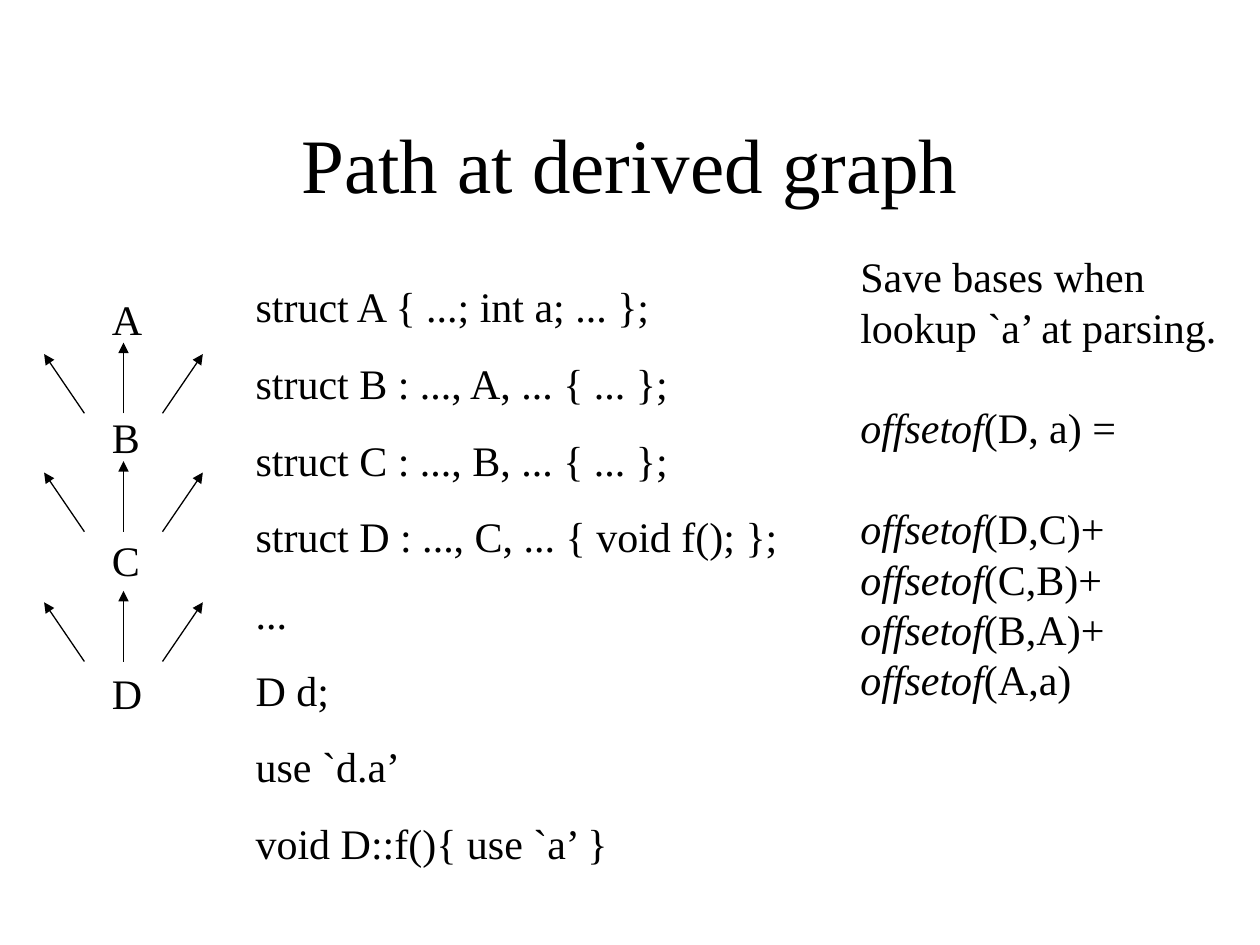
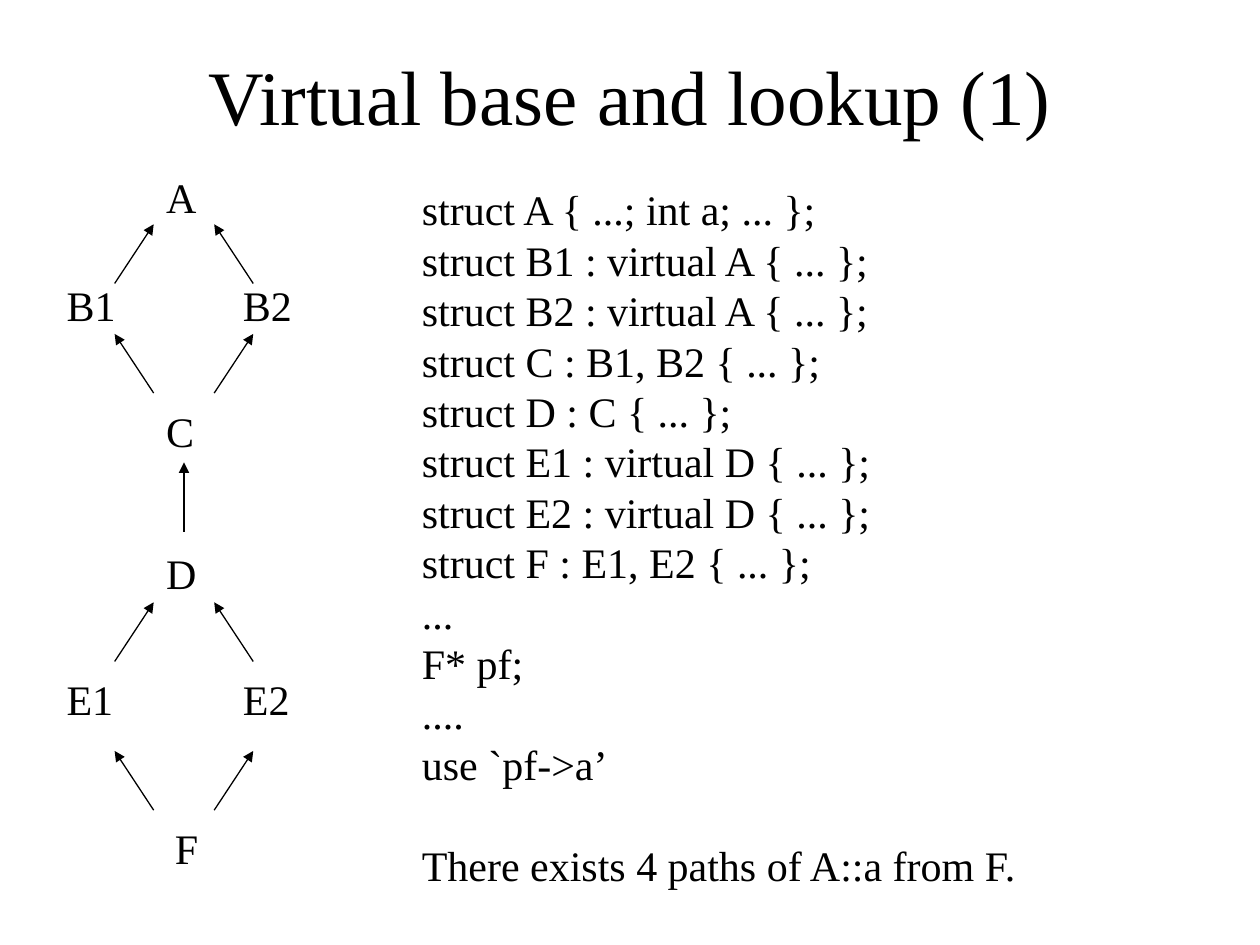
from dataclasses import dataclass
from lxml.etree import SubElement as Sub
from pptx import Presentation
from pptx.dml.color import RGBColor as Rgb
from pptx.enum.shapes import MSO_CONNECTOR as Link
from pptx.enum.text import MSO_ANCHOR as Anchor, PP_ALIGN as Align
from pptx.oxml.ns import qn
from pptx.util import Inches, Pt


@dataclass(frozen=True)
class Theme:
    face: str = "Times New Roman"
    ink: Rgb = Rgb(0, 0, 0)
    paper: Rgb = Rgb(255, 255, 255)
    title: Pt = Pt(44)
    body: Pt = Pt(24)
    pitch: Pt = Pt(28.8)
    loose: Pt = Pt(15)
    line: Pt = Pt(0.75)


class Deck:
    def __init__(self, theme):
        self.theme = theme
        self.file = Presentation()
        self.file.slide_width, self.file.slide_height = Inches(10), Inches(7.5)
        self.slide = None

    def style(self, font, size, **more):
        look = {"name": self.theme.face, "size": size, **more}
        for key, value in look.items():
            setattr(font, key, value)
        font.color.rgb = self.theme.ink

    def start(self, title, top):
        """Add a slide and place its title."""
        self.slide = self.file.slides.add_slide(self.file.slide_layouts[5])
        fill = self.slide.background.fill
        fill.solid()
        fill.fore_color.rgb = self.theme.paper
        shape = self.slide.shapes.title
        place = {"left": 0.75, "top": top, "width": 8.5, "height": 1.25}
        for key, value in place.items():
            setattr(shape, key, Inches(value))
        frame = shape.text_frame
        frame.text, frame.vertical_anchor = title, Anchor.MIDDLE
        para = frame.paragraphs[0]
        para.alignment = Align.CENTER
        self.style(para.font, self.theme.title)

    def text(self, lines, left, top, width, height=0.5, gap=0, breaks=(), slant=None):
        """Write lines; breaks lists lines set one line lower, slant the italic word."""
        box = self.slide.shapes.add_textbox(*map(Inches, (left, top, width, height)))
        frame = box.text_frame
        frame.word_wrap = True
        for row, line in enumerate(lines):
            para = frame.add_paragraph() if row else frame.paragraphs[0]
            para.line_spacing = self.theme.pitch
            if row:
                para.space_before = self.theme.pitch if row in breaks else gap
            parts = line.partition(slant) if slant else (line,)
            for part in filter(None, parts):
                run = para.add_run()
                run.text = part
                self.style(run.font, self.theme.body, italic=part == slant)

    def label(self, name, left, top):
        self.text([name], left, top, 0.8)

    def arrow(self, *ends):
        """Draw an arrow from x, y to x, y."""
        link = self.slide.shapes.add_connector(Link.STRAIGHT, *map(Inches, ends))
        link.line.width = self.theme.line
        link.line.color.rgb = self.theme.ink
        Sub(link.line._get_or_add_ln(), qn("a:tailEnd"), type="triangle")
        Sub(link._element.spPr, qn("a:effectLst"))

    def pair(self, axis, foot, near, far):
        """Draw two rising arrows, mirrored about an axis."""
        for side in (-1, 1):
            self.arrow(axis + side * near, foot, axis + side * far, foot - 0.47)


def derived(deck):
    deck.start("Path at derived graph", 0.67)
    for name, top in zip("ABCD", (2.28, 3.22, 4.19, 5.25)):
        deck.label(name, 0.79, top)
    axis = 0.98
    for foot in (3.28, 4.22, 5.25):
        deck.arrow(axis, foot, axis, foot - 0.56)
        deck.pair(axis, foot, 0.31, 0.63)
    code = [
        "struct A { ...; int a; ... };",
        "struct B : ..., A, ... { ... };",
        "struct C : ..., B, ... { ... };",
        "struct D : ..., C, ... { void f(); };",
        "...",
        "D d;",
        "use `d.a’",
        "void D::f(){ use `a’ }",
    ]
    deck.text(code, 1.93, 2.18, 4.41, 4.76, gap=deck.theme.loose)
    word = "offsetof"
    terms = ["(D, a) =", "(D,C)+", "(C,B)+", "(B,A)+", "(A,a)"]
    sums = ["Save bases when lookup `a’ at parsing."] + [word + term for term in terms]
    deck.text(sums, 6.73, 1.94, 3.23, 3.7, breaks=(1, 2), slant=word)


def virtual(deck):
    deck.start("Virtual base and lookup (1)", 0.13)
    mid, west, east = 1.22, 0.43, 1.83
    nodes = [
        ("A", mid, 1.31), ("B1", west, 2.17), ("B2", east, 2.17),
        ("C", mid, 3.17), ("D", mid, 4.3), ("E1", west, 5.3),
        ("E2", east, 5.3), ("F", 1.29, 6.48),
    ]
    for node in nodes:
        deck.label(*node)
    axis, near, far = 1.46, 0.24, 0.55
    for foot in (2.25, 5.25):
        deck.pair(axis, foot, far, near)
    for foot in (3.12, 6.43):
        deck.pair(axis, foot, near, far)
    deck.arrow(axis, 4.22, axis, 3.67)
    code = [
        "struct A { ...; int a; ... };",
        "struct B1 : virtual A { ... };",
        "struct B2 : virtual A { ... };",
        "struct C : B1, B2 { ... };",
        "struct D : C { ... };",
        "struct E1 : virtual D { ... };",
        "struct E2 : virtual D { ... };",
        "struct F : E1, E2 { ... };",
        "...",
        "F* pf;",
        "....",
        "use `pf->a’",
        "There exists 4 paths of A::a from F.",
    ]
    deck.text(code, 3.25, 1.41, 4.96, 5.7, breaks=(12,))


def main():
    deck = Deck(Theme())
    derived(deck)
    virtual(deck)
    deck.file.save("out.pptx")


if __name__ == "__main__":
    main()
